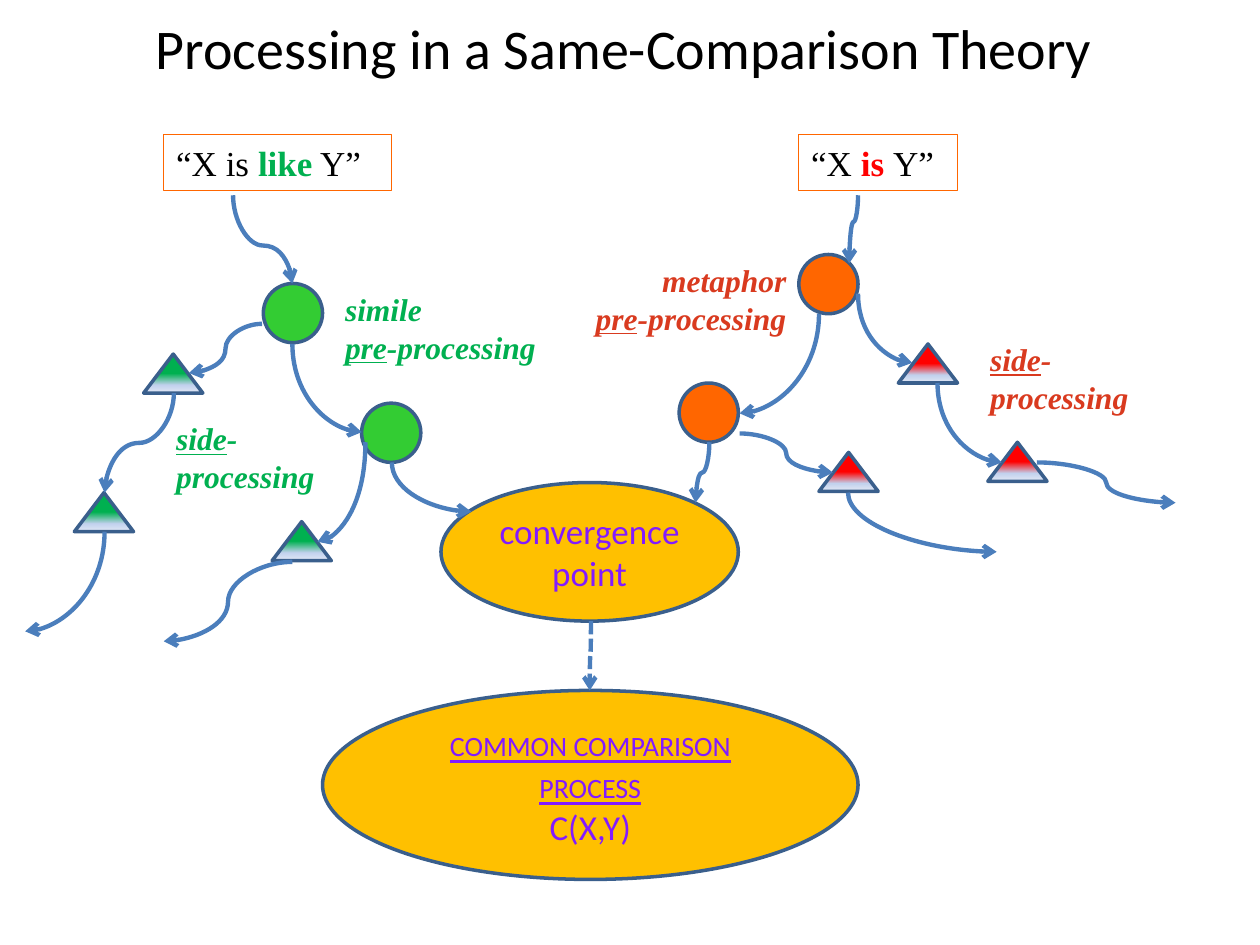
from copy import deepcopy

from lxml import etree
from pptx import Presentation
from pptx.dml.color import RGBColor
from pptx.enum import dml, shapes, text
from pptx.oxml.ns import qn
from pptx.util import Inches, Pt

BLACK = RGBColor(0x00, 0x00, 0x00)
GREEN = RGBColor(0x00, 0xB0, 0x50)
LIME = RGBColor(0x33, 0xCC, 0x33)
RED = RGBColor(0xFF, 0x00, 0x00)
BRICK = RGBColor(0xD9, 0x3A, 0x1F)
ORANGE = RGBColor(0xFF, 0x66, 0x00)
GOLD = RGBColor(0xFF, 0xC0, 0x00)
PURPLE = RGBColor(0x82, 0x1B, 0xFF)
OUTLINE = RGBColor(0x3A, 0x5F, 0x8C)
ARROW = RGBColor(0x4B, 0x7E, 0xBC)
PALE = RGBColor(0xC2, 0xD1, 0xED)
PALEST = RGBColor(0xE1, 0xE8, 0xF5)

SERIF, SANS = "Times New Roman", "Calibri"
LEFT, CENTER, RIGHT = text.PP_ALIGN.LEFT, text.PP_ALIGN.CENTER, text.PP_ALIGN.RIGHT
NODE = 0.47
TRIANGLE_HEIGHT = 0.31


def write(sp, paragraphs, size, font, align=LEFT, anchor=text.MSO_ANCHOR.TOP):
    """Each paragraph is a list of runs (words, colour, styles b/i/u/s for small caps)."""
    tf = sp.text_frame
    tf.word_wrap = True
    tf.vertical_anchor = anchor
    for i, runs in enumerate(paragraphs):
        p = tf.paragraphs[0] if i == 0 else tf.add_paragraph()
        p.alignment = align
        for words, color, styles in runs:
            r = p.add_run()
            r.text = words
            r.font.name, r.font.size = font, Pt(size)
            r.font.color.rgb = color
            r.font.bold = "b" in styles
            r.font.italic = "i" in styles
            r.font.underline = "u" in styles
            if "s" in styles:
                r.font._element.set("cap", "small")


def add_label(s, x, y, w, h, paragraphs, size=18, font=SERIF, align=LEFT,
              anchor=text.MSO_ANCHOR.TOP):
    sp = s.shapes.add_textbox(Inches(x), Inches(y), Inches(w), Inches(h))
    write(sp, paragraphs, size, font, align, anchor)


def add_outlined(s, kind, x, y, w, h, line=OUTLINE, width=2):
    sp = s.shapes.add_shape(kind, Inches(x), Inches(y), Inches(w), Inches(h))
    sp.shadow.inherit = False
    sp.line.color.rgb = line
    sp.line.width = Pt(width)
    return sp


def add_phrase(s, x, w, runs):
    sp = add_outlined(s, shapes.MSO_SHAPE.RECTANGLE, x, 1.07, w, 0.44, ORANGE, 0.75)
    sp.fill.background()
    write(sp, [runs], 20, SERIF)


def add_ellipse(s, x, y, w, h, color, paragraphs=()):
    sp = add_outlined(s, shapes.MSO_SHAPE.OVAL, x, y, w, h)
    sp.fill.solid()
    sp.fill.fore_color.rgb = color
    write(sp, paragraphs, 20, SANS, CENTER, text.MSO_ANCHOR.MIDDLE)


def add_triangle(s, x, y, color):
    sp = add_outlined(s, shapes.MSO_SHAPE.ISOSCELES_TRIANGLE, x, y, NODE, TRIANGLE_HEIGHT)
    sp.fill.gradient()
    sp.fill.gradient_angle = 270
    stop_list = sp._element.spPr.find(".//" + qn("a:gsLst"))
    stop_list.append(deepcopy(stop_list[-1]))
    stops = zip(sp.fill.gradient_stops, (0.5, 0.8, 1), (color, PALE, PALEST))
    for stop, position, stop_color in stops:
        stop.position = position
        stop.color.rgb = stop_color


def add_curve(s, x1, y1, x2, y2, upright=True, bend=None, dashed=False):
    """Arrow leaving downwards (upright) or sideways; bend places the middle of an S."""
    ends = x1, y1, x2, y2
    if upright:
        # The preset leaves sideways, so lay it flat about its centre and turn it
        cx, cy = (x1 + x2) / 2, (y1 + y2) / 2
        dx, dy = abs(x2 - x1) / 2, abs(y2 - y1) / 2
        ends = cx - dy, cy - dx, cx + dy, cy + dx
    c = s.shapes.add_connector(shapes.MSO_CONNECTOR.CURVE, *map(Inches, ends))
    sp_pr = c._element.spPr
    if upright:
        xfrm = sp_pr.find(qn("a:xfrm"))
        xfrm.set("rot", str((90 if x2 < x1 else 270) * 60000))
        if x2 > x1:
            xfrm.set("flipH", "1")
    geometry = sp_pr.find(qn("a:prstGeom"))
    if bend is None:
        geometry.set("prst", "curvedConnector2")
    else:
        guides = geometry.find(qn("a:avLst"))
        if guides is None:
            guides = etree.SubElement(geometry, qn("a:avLst"))
        etree.SubElement(guides, qn("a:gd"), name="adj1", fmla=f"val {round(bend * 100000)}")
    c.line.color.rgb = ARROW
    c.line.width = Pt(2.5)
    if dashed:
        c.line.dash_style = dml.MSO_LINE.SQUARE_DOT
    etree.SubElement(sp_pr.find(qn("a:ln")), qn("a:tailEnd"), type="arrow")
    etree.SubElement(sp_pr, qn("a:effectLst"))


def main():
    prs = Presentation()
    prs.slide_width, prs.slide_height = Inches(10), Inches(7.5)
    s = prs.slides.add_slide(prs.slide_layouts[6])

    # Title
    add_label(s, 0.12, 0, 9.67, 0.74,
              [[("Processing in a Same-Comparison Theory", BLACK, "")]],
              32, SANS, CENTER, text.MSO_ANCHOR.MIDDLE)

    # Input phrases
    add_phrase(s, 1.3, 1.81, [("“X is ", BLACK, ""), ("like", GREEN, "b"), (" Y”", BLACK, "")])
    add_phrase(s, 6.34, 1.26, [("“X ", BLACK, ""), ("is ", RED, "b"), ("Y”", BLACK, "")])

    # Pre-processing nodes
    for x, y, color in ((2.09, 2.25, LIME), (2.87, 3.2, LIME),
                        (6.34, 2.02, ORANGE), (5.39, 3.04, ORANGE)):
        add_ellipse(s, x, y, NODE, NODE, color)

    # Shared stages
    add_ellipse(s, 3.5, 3.83, 2.36, 1.1, GOLD,
                [[("convergence", PURPLE, "")], [("point", PURPLE, "")]])
    add_ellipse(s, 2.56, 5.48, 4.25, 1.5, GOLD,
                [[("common comparison process", PURPLE, "us")], [("C(X,Y)", PURPLE, "")]])

    # Side-processing nodes
    for x, y, color in ((7.13, 2.73, RED), (7.84, 3.51, RED), (6.5, 3.59, RED),
                        (1.14, 2.81, GREEN), (2.16, 4.14, GREEN), (0.59, 3.91, GREEN)):
        add_triangle(s, x, y, color)

    # Single-bend arrows
    for ends in ((2.32, 2.73, 2.87, 3.43), (6.5, 2.49, 5.87, 3.28), (3.11, 3.67, 3.74, 4.06),
                 (6.81, 2.33, 7.24, 2.88), (7.44, 3.04, 7.95, 3.67), (6.73, 3.91, 7.91, 4.38),
                 (2.9, 3.51, 2.52, 4.3), (0.83, 4.22, 0.2, 5.01)):
        add_curve(s, *ends)

    # S-shaped arrows going down
    for *ends, bend in ((1.85, 1.55, 2.32, 2.25, 0.57), (6.81, 1.55, 6.74, 2.09, 0.39),
                        (5.63, 3.51, 5.52, 3.99, 0.5), (1.38, 3.12, 0.83, 3.91, 0.5)):
        add_curve(s, *ends, bend=bend)
    add_curve(s, 4.69, 4.93, 4.68, 5.48, bend=0.5, dashed=True)

    # S-shaped arrows going sideways
    for ends in ((8.23, 3.67, 9.33, 3.99), (5.87, 3.44, 6.61, 3.75),
                 (2.08, 2.57, 1.5, 2.96), (2.32, 4.46, 1.3, 5.09)):
        add_curve(s, *ends, upright=False, bend=0.5)

    # Labels
    for x, y, word, color, align in ((2.64, 2.25, "simile", GREEN, LEFT),
                                     (4.61, 2.02, "metaphor", BRICK, RIGHT)):
        add_label(s, x, y, 1.73, 0.71,
                  [[(word, color, "bi")], [("pre", color, "biu"), ("-processing", color, "bi")]],
                  align=align)
    for x, y, w, color in ((7.76, 2.65, 1.73, BRICK), (1.3, 3.28, 1.34, GREEN)):
        add_label(s, x, y, w, 0.71, [[("side", color, "biu"), ("-processing", color, "bi")]])

    prs.save("out.pptx")


if __name__ == "__main__":
    main()
